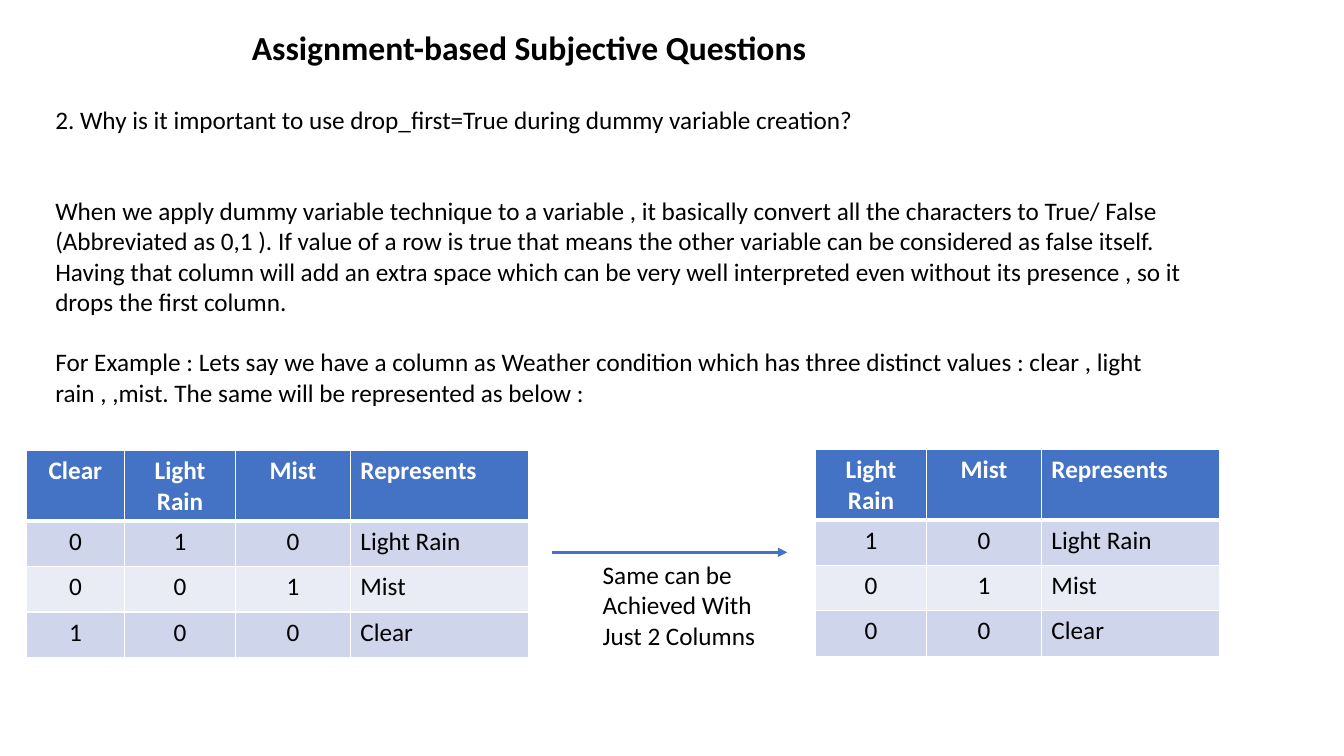
from lxml import etree
from pptx import Presentation
from pptx.dml.color import RGBColor
from pptx.enum import shapes, text
from pptx.oxml import ns
from pptx.util import Pt

BLACK = RGBColor(0x00, 0x00, 0x00)
WHITE = RGBColor(0xFF, 0xFF, 0xFF)
BLUE = RGBColor(0x44, 0x72, 0xC4)
BANDS = [RGBColor(0xE9, 0xEB, 0xF5), RGBColor(0xCF, 0xD5, 0xEA)]
COLUMN_WIDTHS = {"Clear": 70, "Light Rain": 79.4, "Mist": 82, "Represents": 127.4}
HEADER_HEIGHT, ROW_HEIGHT = 50.4, 32.4


def style_text(frame, size=18, color=BLACK, bold=False):
    for para in frame.paragraphs:
        for span in para.runs:
            span.font.name = "Calibri"
            span.font.size = Pt(size)
            span.font.bold = bold
            span.font.color.rgb = color


def add_text(left, top, width, height, content, wrap=True, size=18, bold=False):
    box = page.shapes.add_textbox(Pt(left), Pt(top), Pt(width), Pt(height))
    frame = box.text_frame
    frame.word_wrap = wrap
    frame.text = content
    style_text(frame, size, bold=bold)
    return frame


deck = Presentation()
deck.slide_width, deck.slide_height = Pt(960), Pt(540)
page = deck.slides.add_slide(deck.slide_layouts[6])

# Title, question and answer
title = add_text(172.8, 13.7, 508.3, 43.9, "Assignment-based Subjective Questions", size=24, bold=True)
title.vertical_anchor = text.MSO_ANCHOR.MIDDLE
title.paragraphs[0].line_spacing = 0.9

add_text(32.4, 71.3, 723.6, 28.8,
         "2. Why is it important to use drop_first=True during dummy variable creation?")

answer = add_text(
    32.4, 136.1, 838.8, 159.8,
    "When we apply dummy variable technique to a variable , it basically convert all the "
    "characters to True/ False (Abbreviated as 0,1 ). If value of a row is true that means "
    "the other variable can be considered as false itself. Having that column will add an "
    "extra space which can be very well interpreted even without its presence , so it drops "
    "the first column.\n"
    "For Example : Lets say we have a column as Weather condition which has three distinct "
    "values : clear , light rain , ,mist. The same will be represented as below :")
answer.paragraphs[0].space_after = Pt(21.6)

# Dummy variable tables: all three columns, then without the first
weather = [
    ["Clear", "Light Rain", "Mist", "Represents"],
    ["0", "1", "0", "Light Rain"],
    ["0", "0", "1", "Mist"],
    ["1", "0", "0", "Clear"],
]
for left, top, first_column in [(18.9, 321.9, 0), (582.5, 321.1, 1)]:
    rows = [row[first_column:] for row in weather]
    widths = [COLUMN_WIDTHS[name] for name in rows[0]]
    height = HEADER_HEIGHT + 3 * ROW_HEIGHT
    table = page.shapes.add_table(len(rows), len(widths), Pt(left), Pt(top),
                                  Pt(sum(widths)), Pt(height)).table
    for column, width in zip(table.columns, widths):
        column.width = Pt(width)
    for r, row in enumerate(rows):
        header = r == 0
        table.rows[r].height = Pt(HEADER_HEIGHT if header else ROW_HEIGHT)
        for c, value in enumerate(row):
            cell = table.cell(r, c)
            cell.text = value
            style_text(cell.text_frame, color=WHITE if header else BLACK, bold=header)
            if c < len(row) - 1:
                cell.text_frame.paragraphs[0].alignment = text.PP_ALIGN.CENTER
            # White borders, thicker between header and body
            edges = {"lnL": 1, "lnR": 1, "lnT": 3 if r == 1 else 1, "lnB": 3 if header else 1}
            for edge, weight in edges.items():
                border = etree.SubElement(cell._tc.get_or_add_tcPr(), ns.qn("a:" + edge),
                                          w=str(Pt(weight)))
                paint = etree.SubElement(border, ns.qn("a:solidFill"))
                etree.SubElement(paint, ns.qn("a:srgbClr"), val=str(WHITE))
            cell.fill.solid()
            cell.fill.fore_color.rgb = BLUE if header else BANDS[r % 2]

# Arrow between the tables with its caption
arrow = page.shapes.add_connector(shapes.MSO_CONNECTOR.STRAIGHT,
                                  Pt(394), Pt(394.5), Pt(562.3), Pt(394.5))
arrow.line.color.rgb = BLUE
arrow.line.width = Pt(2.25)
etree.SubElement(arrow.line._get_or_add_ln(), ns.qn("a:tailEnd"), type="triangle")
etree.SubElement(arrow._element.spPr, ns.qn("a:effectLst"))

add_text(423.4, 396, 126.7, 72.7, "Same can be\nAchieved With\nJust 2 Columns", wrap=False)

deck.save("out.pptx")
